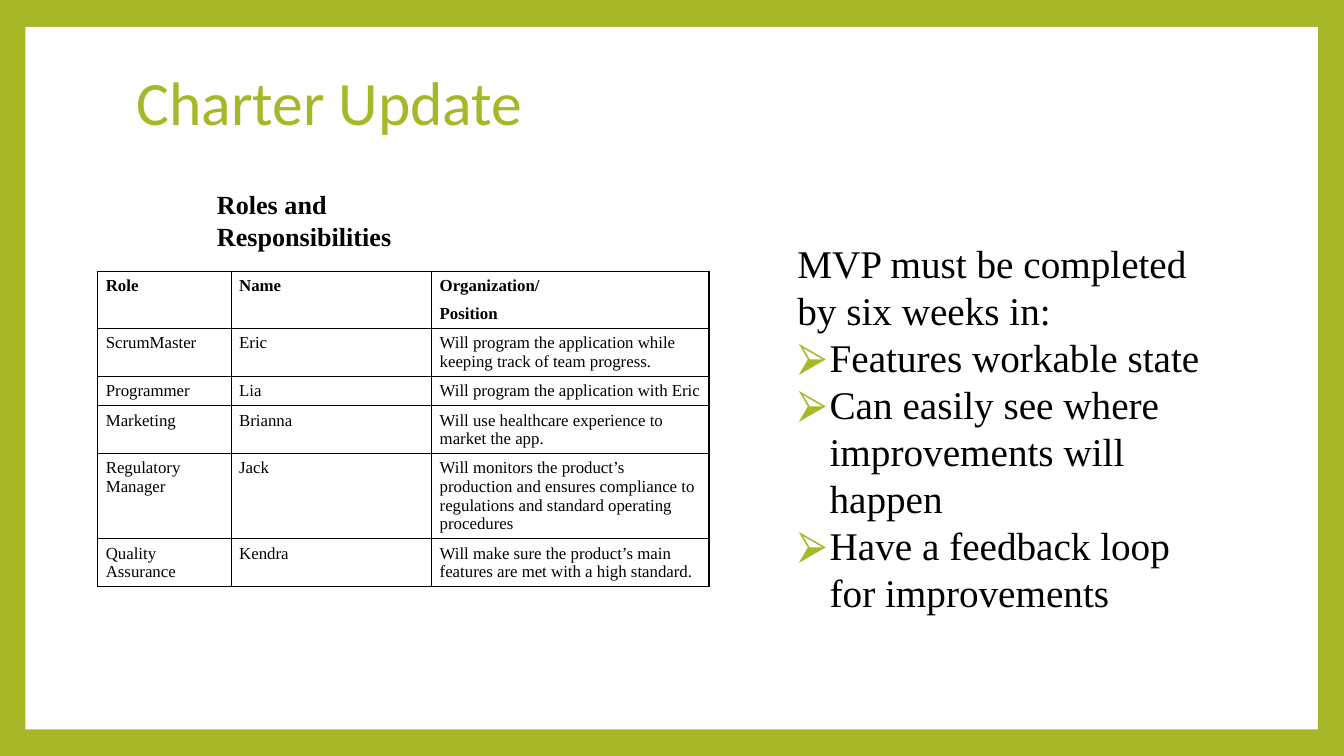
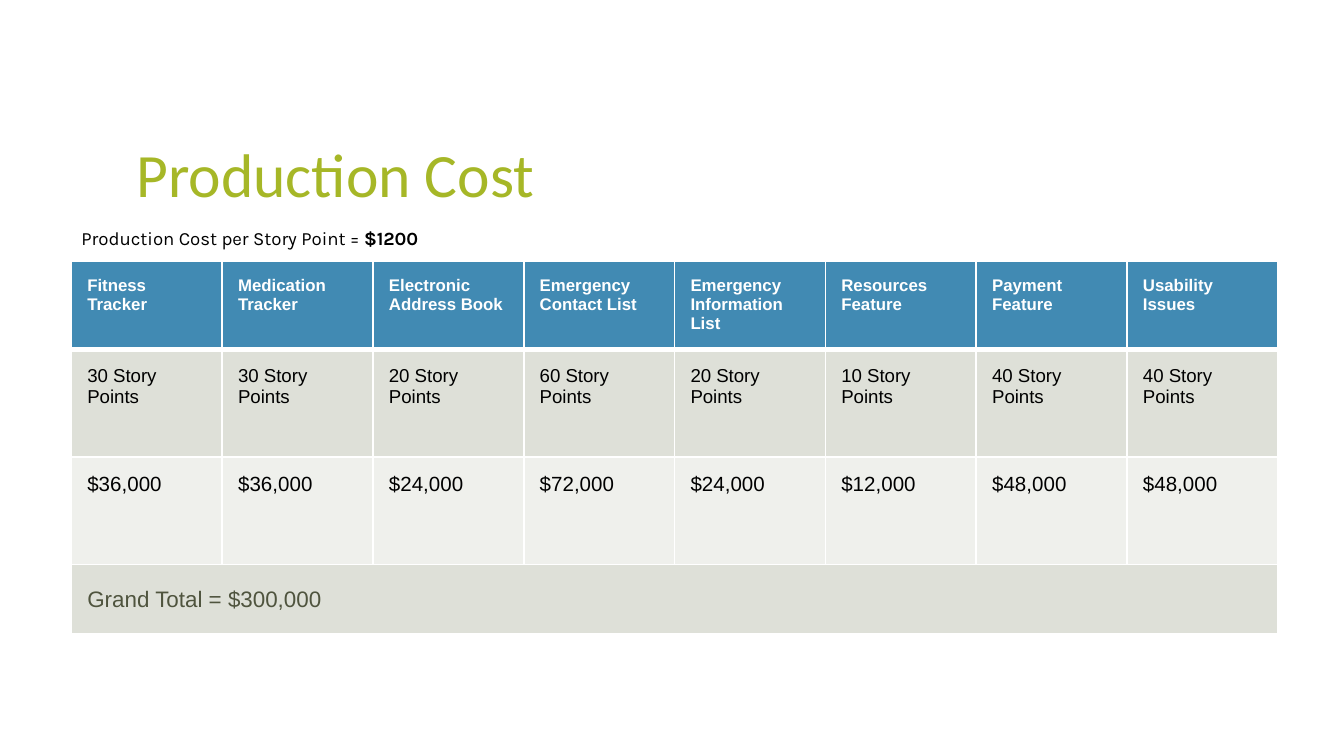
from lxml.etree import SubElement
from pptx import Presentation
from pptx.dml.color import RGBColor
from pptx.enum.shapes import MSO_SHAPE
from pptx.enum.text import MSO_ANCHOR, MSO_AUTO_SIZE, PP_ALIGN
from pptx.oxml.ns import qn
from pptx.util import Cm, Pt

GREEN = RGBColor(0xA6, 0xB7, 0x27)
WHITE = RGBColor(0xFF, 0xFF, 0xFF)
BLACK = RGBColor(0, 0, 0)
BLUE = RGBColor(0x41, 0x8A, 0xB3)
STONE = RGBColor(0xDE, 0xE0, 0xD8)
PALE = RGBColor(0xEF, 0xF0, 0xEC)
OLIVE = RGBColor(0x4F, 0x54, 0x3E)
SERIF, SANS = "Times New Roman", "Arial"
RATE = 1200

ROLES = [
    ("Role", "Name", "Organization/\nPosition"),
    ("ScrumMaster", "Eric",
     "Will program the application while keeping track of team progress."),
    ("Programmer", "Lia", "Will program the application with Eric"),
    ("Marketing", "Brianna",
     "Will use healthcare experience to market the app."),
    ("Regulatory Manager", "Jack",
     "Will monitors the product’s production and ensures compliance to "
     "regulations and standard operating procedures"),
    ("Quality Assurance", "Kendra",
     "Will make sure the product’s main features are met with a high standard."),
]
POINTS = {
    "Fitness Tracker": 30,
    "Medication Tracker": 30,
    "Electronic Address Book": 20,
    "Emergency Contact List": 60,
    "Emergency Information\nList": 20,
    "Resources Feature": 10,
    "Payment Feature": 40,
    "Usability Issues": 40,
}


def edge(cell, side, color, width):
    """Draw one cell border; side is L, R, T or B."""
    line = SubElement(cell._tc.get_or_add_tcPr(), qn("a:ln" + side),
                      w=str(Pt(width)))
    fill = SubElement(line, qn("a:solidFill"))
    SubElement(fill, qn("a:srgbClr"), val=str(color))


def bullet(para, color):
    """Give a paragraph a hanging arrow bullet."""
    props = para._p.get_or_add_pPr()
    props.set("marL", str(Cm(0.61)))
    props.set("indent", str(Cm(-0.59)))
    tint = SubElement(props, qn("a:buClr"))
    SubElement(tint, qn("a:srgbClr"), val=str(color))
    SubElement(props, qn("a:buFont"), typeface=SANS)
    SubElement(props, qn("a:buChar"), char="⮚")


class Deck:
    """Holds the shared style and the current slide."""

    def __init__(self):
        self.prs = Presentation()
        self.prs.slide_width, self.prs.slide_height = Cm(25.4), Cm(14.29)
        self.slide = None

    def start(self, title, back, anchor):
        """Add a slide with its background and title."""
        self.slide = self.prs.slides.add_slide(self.prs.slide_layouts[5])
        fill = self.slide.background.fill
        fill.solid()
        fill.fore_color.rgb = back
        head = self.slide.shapes.title
        head.left, head.top = Cm(2.39), Cm(1.27)
        head.width, head.height = Cm(20.57), Cm(2.82)
        self.frame(head.text_frame, anchor)
        para = head.text_frame.paragraphs[0]
        para.alignment, para.line_spacing = PP_ALIGN.LEFT, 0.9
        self.run(para, title, 33, "Calibri", GREEN)

    def frame(self, frame, anchor, size=MSO_AUTO_SIZE.NONE):
        frame.word_wrap, frame.auto_size = True, size
        frame.vertical_anchor = anchor
        frame.margin_left = frame.margin_right = Cm(0.19)
        frame.margin_top = frame.margin_bottom = Cm(0.1)

    def run(self, para, text, size, font, color=BLACK, bold=False):
        run = para.add_run()
        run.text = text
        run.font.size, run.font.name, run.font.bold = Pt(size), font, bold
        run.font.color.rgb = color

    def panel(self, left, top, width, height):
        """Place a white panel behind the title."""
        rect = self.slide.shapes.add_shape(
            MSO_SHAPE.RECTANGLE, Cm(left), Cm(top), Cm(width), Cm(height))
        rect.shadow.inherit = False
        rect.fill.solid()
        rect.fill.fore_color.rgb = WHITE
        rect.line.fill.background()
        self.slide.shapes.title.element.addprevious(rect.element)

    def box(self, area, anchor=MSO_ANCHOR.TOP,
            size=MSO_AUTO_SIZE.SHAPE_TO_FIT_TEXT):
        """Add an empty text box and return its text frame."""
        frame = self.slide.shapes.add_textbox(*map(Cm, area)).text_frame
        self.frame(frame, anchor, size)
        return frame

    def grid(self, left, top, cols, rows):
        """Add a plain table with the given column widths and row heights."""
        table = self.slide.shapes.add_table(
            len(rows), len(cols), Cm(left), Cm(top),
            Cm(sum(cols)), Cm(sum(rows))).table
        table.first_row = table.horz_banding = False
        for col, width in zip(table.columns, cols):
            col.width = Cm(width)
        for row, height in zip(table.rows, rows):
            row.height = Cm(height)
        return table

    def cell(self, cell, text, size, font, color=BLACK, bold=False,
             fill=None, pad=(0.3, 0.3), line=WHITE, widths=(1, 1, 1, 1), gap=0):
        """Fill one cell; widths are its left, right, top and bottom borders."""
        for side, width in zip("LRTB", widths):
            edge(cell, side, line, width)
        if fill is None:
            cell.fill.background()
        else:
            cell.fill.solid()
            cell.fill.fore_color.rgb = fill
        cell.margin_left = cell.margin_right = Cm(pad[0])
        cell.margin_top = cell.margin_bottom = Cm(pad[1])
        for i, part in enumerate(text.split("\n") if text else []):
            frame = cell.text_frame
            para = frame.add_paragraph() if i else frame.paragraphs[0]
            if i and gap:
                para.space_before = Pt(gap)
            self.run(para, part, size, font, color, bold)


def charter(deck):
    deck.start("Charter Update", GREEN, MSO_ANCHOR.TOP)
    deck.panel(0.48, 0.51, 24.43, 13.28)

    table = deck.grid(1.85, 5.13, (2.52, 3.79, 5.24),
                      (1.07, 0.89, 0.55, 0.89, 1.6, 0.89))
    for r, row in enumerate(ROLES):
        for c, text in enumerate(row):
            deck.cell(table.cell(r, c), text, 9, SERIF, bold=r == 0,
                      pad=(0.15, 0.1), line=BLACK, widths=[0.75] * 4, gap=5)

    head = deck.box((3.91, 3.78, 5.74, 0.76), MSO_ANCHOR.MIDDLE,
                    MSO_AUTO_SIZE.NONE)
    deck.run(head.paragraphs[0], "Roles and Responsibilities", 14, SERIF,
             bold=True)

    goals = deck.box((14.88, 4.42, 8.03, 7.37))
    deck.run(goals.paragraphs[0], "MVP must be completed by six weeks in:",
             21, SERIF)
    for text in ("Features workable state",
                 "Can easily see where improvements will happen",
                 "Have a feedback loop for improvements"):
        para = goals.add_paragraph()
        bullet(para, GREEN)
        deck.run(para, text, 21, SERIF)


def cost(deck):
    deck.start("Production Cost", WHITE, MSO_ANCHOR.BOTTOM)
    count = len(POINTS)
    table = deck.grid(1.35, 4.93, [2.85] * count, (1.68, 2.03, 2.03, 1.32))
    for c, (name, points) in enumerate(POINTS.items()):
        deck.cell(table.cell(0, c), name, 9, SANS, WHITE, True, BLUE,
                  widths=(1, 1, 1, 3))
        deck.cell(table.cell(1, c), f"{points} Story Points", 10, SANS,
                  fill=STONE, widths=(1, 1, 3, 1))
        deck.cell(table.cell(2, c), f"${points * RATE:,}", 11, SANS, fill=PALE)
        total = sum(POINTS.values()) * RATE
        deck.cell(table.cell(3, c),
                  "" if c else f"Grand Total = ${total:,}",
                  12, SANS, OLIVE, fill=STONE)
    table.cell(3, 0).merge(table.cell(3, count - 1))
    table.cell(3, 0).vertical_anchor = MSO_ANCHOR.MIDDLE

    para = deck.box((1.35, 4.19, 9.17, 0.61)).paragraphs[0]
    deck.run(para, "Production Cost per Story Point = ", 10, "Karla")
    deck.run(para, f"${RATE}", 10, "Karla", bold=True)


def main():
    deck = Deck()
    charter(deck)
    cost(deck)
    deck.prs.save("out.pptx")


if __name__ == "__main__":
    main()
